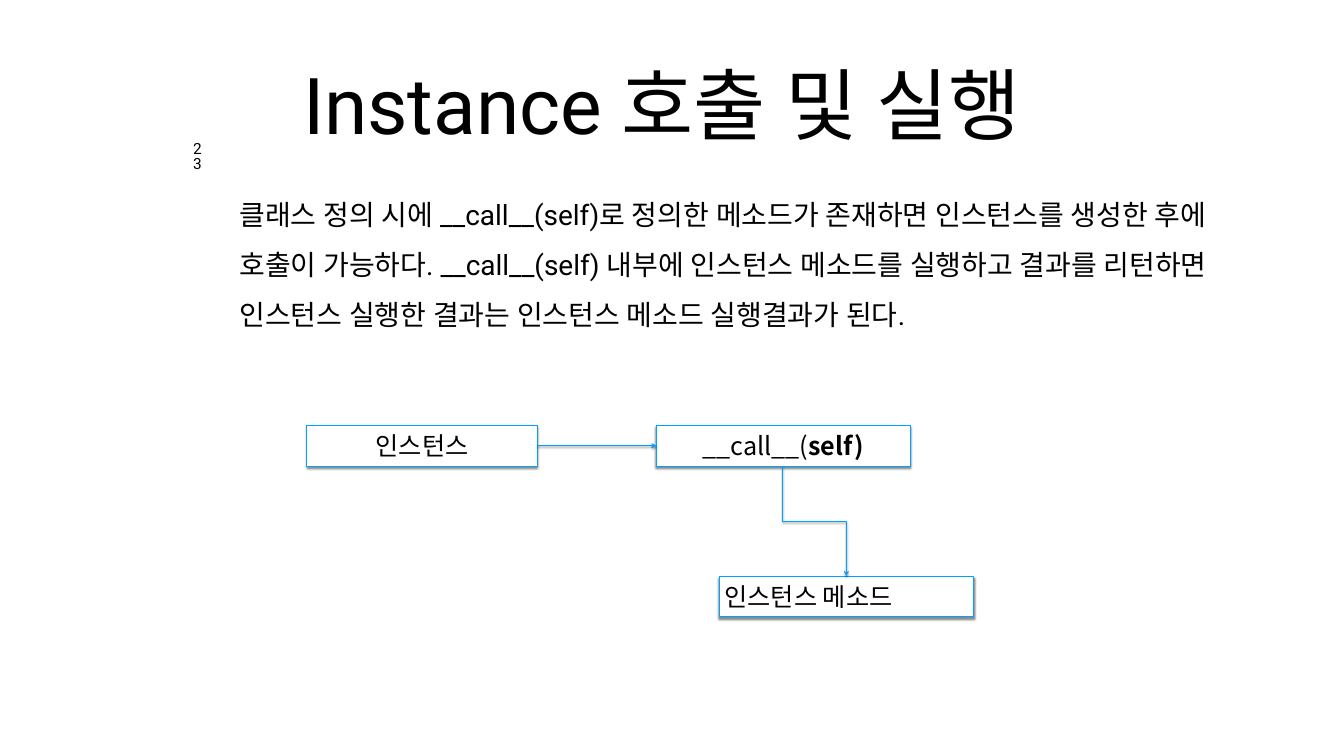
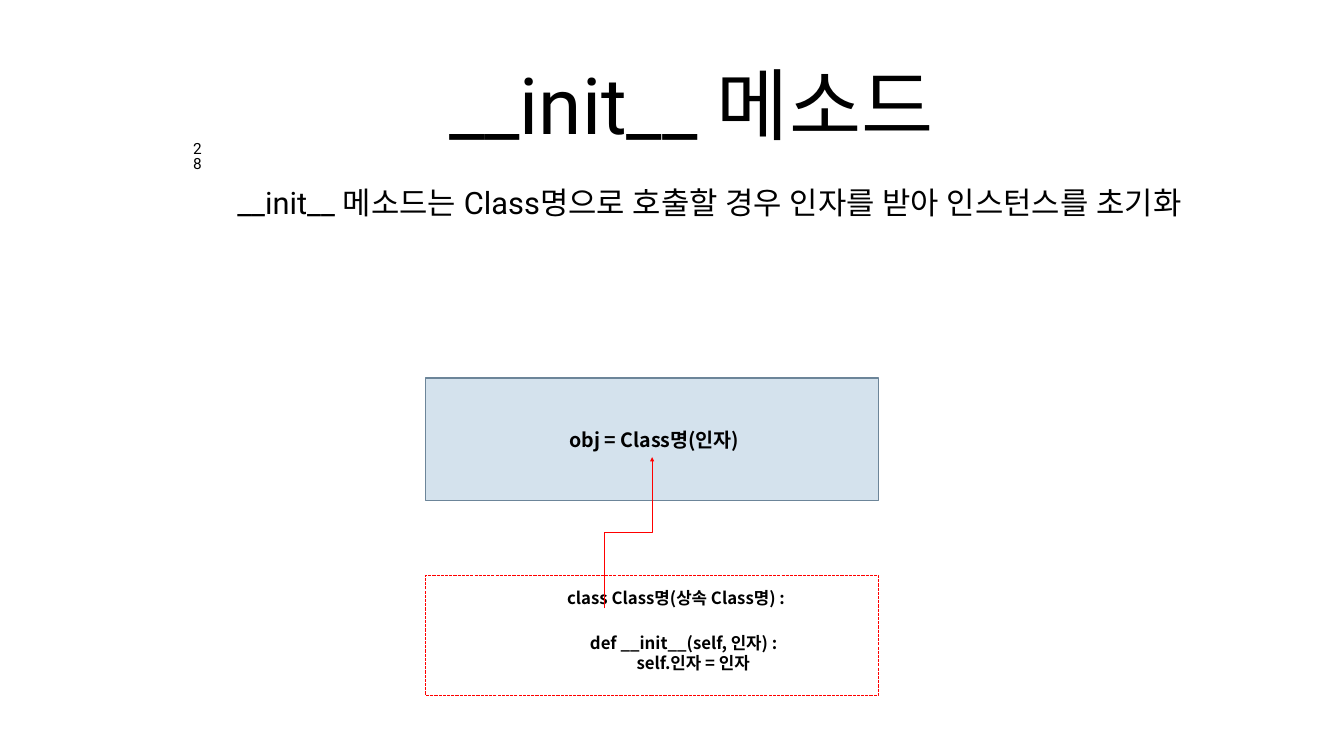
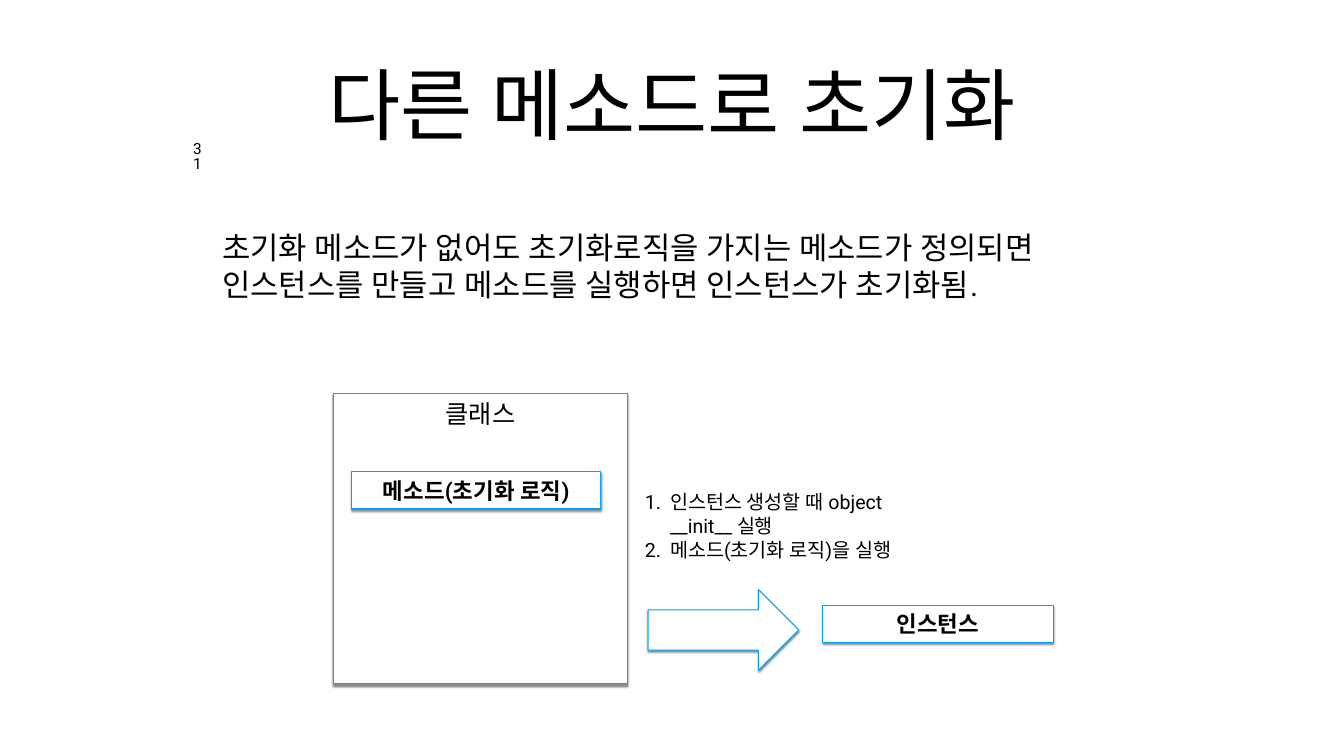
import copy

import pptx
import pptx.dml.color
import pptx.enum.dml
import pptx.enum.shapes
import pptx.enum.text
import pptx.oxml.ns
import pptx.util
from lxml import etree

Inches = pptx.util.Inches
Pt = pptx.util.Pt
qn = pptx.oxml.ns.qn
color = pptx.dml.color.RGBColor.from_string
SHAPE = pptx.enum.shapes.MSO_SHAPE
CONNECTOR = pptx.enum.shapes.MSO_CONNECTOR
ALIGN = pptx.enum.text.PP_ALIGN
ANCHOR = pptx.enum.text.MSO_ANCHOR
FIT = pptx.enum.text.MSO_AUTO_SIZE

# Shared style
BLACK, WHITE, BLUE, RED = "000000", "FFFFFF", "00A2FF", "FF0000"
STEEL, PALE = "6C8599", "D4E2ED"
ROBOTO, NOTO = "Roboto", "Noto Sans CJK KR"


def write_text(box, lines, size, font=ROBOTO, align=ALIGN.LEFT, anchor=ANCHOR.TOP,
               inset=0.1, bold=False, grow=False):
    frame = box.text_frame
    frame.word_wrap = True
    frame.auto_size = FIT.SHAPE_TO_FIT_TEXT if grow else FIT.NONE
    frame.vertical_anchor = anchor
    frame.margin_left = frame.margin_right = Inches(inset)
    frame.margin_top = frame.margin_bottom = Inches(inset)
    frame.text = "\n".join(lines)
    for paragraph in frame.paragraphs:
        paragraph.alignment = align
        for span in paragraph.runs:
            span.font.name = font
            span.font.size = Pt(size)
            span.font.bold = bold
            span.font.color.rgb = color(BLACK)
            etree.SubElement(span._r.get_or_add_rPr(), qn("a:ea"), typeface=font)
    return frame


def style_shape(shape, line=BLUE, fill=None, width=1.5, shadow=True, tail=None):
    if fill:
        shape.fill.solid()
        shape.fill.fore_color.rgb = color(fill)
    elif hasattr(shape, "fill"):
        shape.fill.background()
    shape.line.color.rgb = color(line)
    shape.line.width = Pt(width)
    if tail:
        etree.SubElement(shape.line._get_or_add_ln(), qn("a:tailEnd"), type=tail)
    effects = etree.SubElement(shape._element.spPr, qn("a:effectLst"))
    if shadow:
        outer = etree.SubElement(effects, qn("a:outerShdw"), blurRad=str(Pt(3)),
                                 dist=str(Pt(2.4)), dir="5400000", rotWithShape="0")
        tint = etree.SubElement(outer, qn("a:srgbClr"), val=BLACK)
        etree.SubElement(tint, qn("a:alpha"), val="45000")


deck = pptx.Presentation()
deck.slide_width, deck.slide_height = Inches(26.67), Inches(15)

# Title, number and body of every slide: insets move text sideways,
# body is (left, top, width, height), size, anchor, left inset, line spacing
slides = [
    ("Instance 호출 및 실행", 0.08, 0.48, "23",
     "클래스 정의 시에 __call__(self)로 정의한 메소드가 존재하면 인스턴스를 생성한 후에 "
     "호출이 가능하다. __call__(self) 내부에 인스턴스 메소드를 실행하고 결과를 리턴하면 "
     "인스턴스 실행한 결과는 인스턴스 메소드 실행결과가 된다.",
     (4.67, 3.5, 20.91, 2.9), 40, ANCHOR.TOP, 0.08, 1.5),
    ("__init__ 메소드", 0.84, 0.08, "28",
     "__init__ 메소드는 Class명으로 호출할 경우 인자를 받아 인스턴스를 초기화",
     (4.33, 3.56, 21.33, 3.31), 44, ANCHOR.TOP, 0.38, 1.0),
    ("다른 메소드로 초기화", 0.08, 0.08, "31",
     "초기화 메소드가 없어도 초기화로직을 가지는 메소드가 정의되면 인스턴스를 만들고 "
     "메소드를 실행하면 인스턴스가 초기화됨.",
     (4.33, 3.5, 18, 3.53), 44, ANCHOR.MIDDLE, 0.08, 1.0),
]
pages = []
for title, left_inset, right_inset, number, body, place, size, anchor, indent, spacing in slides:
    page = deck.slides.add_slide(deck.slide_layouts[6])
    pages.append(page)
    box = page.shapes.add_textbox(Inches(4.8), Inches(0.39), Inches(17.07), Inches(3.32))
    frame = write_text(box, [title], 112, align=ALIGN.CENTER, anchor=ANCHOR.MIDDLE, inset=0.08)
    frame.margin_left, frame.margin_right = Inches(left_inset), Inches(right_inset)

    box = page.shapes.add_textbox(*map(Inches, place))
    frame = write_text(box, [body], size, anchor=anchor, inset=0.08)
    frame.margin_left = Inches(indent)
    frame.paragraphs[0].line_spacing = spacing

    box = page.shapes.add_textbox(Inches(3.67), Inches(2.75), Inches(0.5), Inches(0.45))
    frame = write_text(box, [number], 22, align=ALIGN.CENTER, inset=0.08, grow=True)
    frame.word_wrap = False
    frame.paragraphs[0].line_spacing = 0.8

call_page, init_page, other_page = pages

# Call flow: instance, __call__, instance method
flow = []
for label, left, top, width, align in [
    ("인스턴스", 6.09, 8.44, 4.57, ALIGN.CENTER),
    ("__call__(", 13.02, 8.44, 5.04, ALIGN.CENTER),
    ("인스턴스 메소드", 14.28, 11.43, 5.04, ALIGN.LEFT),
]:
    box = call_page.shapes.add_shape(SHAPE.RECTANGLE, Inches(left), Inches(top),
                                     Inches(width), Inches(0.81))
    style_shape(box, fill=WHITE)
    write_text(box, [label], 36, NOTO, align, ANCHOR.MIDDLE, grow=True)
    flow.append(box)
instance, call, method = flow
paragraph = call.text_frame.paragraphs[0]
paragraph._p.append(copy.deepcopy(paragraph.runs[0]._r))
paragraph.runs[1].text = "self)"
paragraph.runs[1].font.bold = True

arrow = call_page.shapes.add_connector(CONNECTOR.STRAIGHT, Inches(10.66), Inches(8.85),
                                       Inches(13.02), Inches(8.85))
arrow.begin_connect(instance, 3)
arrow.end_connect(call, 1)
style_shape(arrow, tail="arrow")

# The elbow is turned so that it leaves downwards
elbow = call_page.shapes.add_connector(CONNECTOR.ELBOW, Inches(17.25), Inches(9.71),
                                       Inches(15.08), Inches(10.97))
elbow._element.spPr.xfrm.set("rot", str(270 * 60000))
style_shape(elbow, tail="arrow")

# Object creation
panel = init_page.shapes.add_shape(SHAPE.RECTANGLE, Inches(8.45), Inches(7.5),
                                   Inches(8.98), Inches(2.44))
style_shape(panel, STEEL, PALE, shadow=False)
box = init_page.shapes.add_textbox(Inches(8.45), Inches(8.38), Inches(8.98), Inches(0.67))
write_text(box, [" obj = Class명(인자)"], 28, NOTO, ALIGN.CENTER, ANCHOR.MIDDLE,
           bold=True, grow=True)

# Class definition in a dashed frame
box = init_page.shapes.add_textbox(Inches(7.98), Inches(11.12), Inches(10.87), Inches(2.39))
code = ["class Class명(상속 Class명) :",
        "    def __init__(self, 인자) :",
        "         self.인자 = 인자"]
frame = write_text(box, code, 24, NOTO, ALIGN.CENTER, bold=True)
frame.margin_top = Inches(0.55)
frame.paragraphs[1].space_before = Pt(35)
border = init_page.shapes.add_shape(SHAPE.RECTANGLE, Inches(8.45), Inches(11.41),
                                    Inches(8.98), Inches(2.39))
style_shape(border, RED, shadow=False)
border.line.dash_style = pptx.enum.dml.MSO_LINE.SQUARE_DOT

# Red arrow from the class to the call
route = [(Inches(x), Inches(y))
         for x, y in [(11.99, 12.07), (11.99, 10.57), (12.94, 10.57), (12.94, 9.07)]]
builder = init_page.shapes.build_freeform(*route[0])
builder.add_line_segments(route[1:], close=False)
style_shape(builder.convert_to_shape(), RED, width=0.79, shadow=False, tail="triangle")

# Class, its method, the arrow and the instance
for preset, label, left, top, width, height, size, font, anchor in [
    (SHAPE.RECTANGLE, "클래스", 6.62, 7.81, 5.83, 5.76, 36, NOTO, ANCHOR.TOP),
    (SHAPE.RECTANGLE, "인스턴스", 16.33, 12.01, 4.57, 0.74, 32, ROBOTO, ANCHOR.MIDDLE),
    (SHAPE.RIGHT_ARROW, "", 12.86, 11.7, 2.99, 1.6, 32, ROBOTO, ANCHOR.MIDDLE),
    (SHAPE.RECTANGLE, "메소드(초기화 로직)", 6.98, 9.36, 4.94, 0.74, 32, ROBOTO, ANCHOR.MIDDLE),
]:
    box = other_page.shapes.add_shape(preset, Inches(left), Inches(top),
                                      Inches(width), Inches(height))
    style_shape(box, fill=WHITE)
    if label:
        small = size == 32
        write_text(box, [label], size, font, ALIGN.CENTER, anchor, bold=small, grow=small)

# Numbered steps
box = other_page.shapes.add_textbox(Inches(12.7), Inches(9.63), Inches(5.36), Inches(2.09))
steps = ["인스턴스 생성할 때 object __init__ 실행", "메소드(초기화 로직)을 실행"]
for paragraph in write_text(box, steps, 28, grow=True).paragraphs:
    properties = paragraph._p.get_or_add_pPr()
    properties.set("marL", str(Inches(0.5)))
    properties.set("indent", str(-Inches(0.5)))
    etree.SubElement(properties, qn("a:buAutoNum"), type="arabicPeriod")

deck.save("out.pptx")
